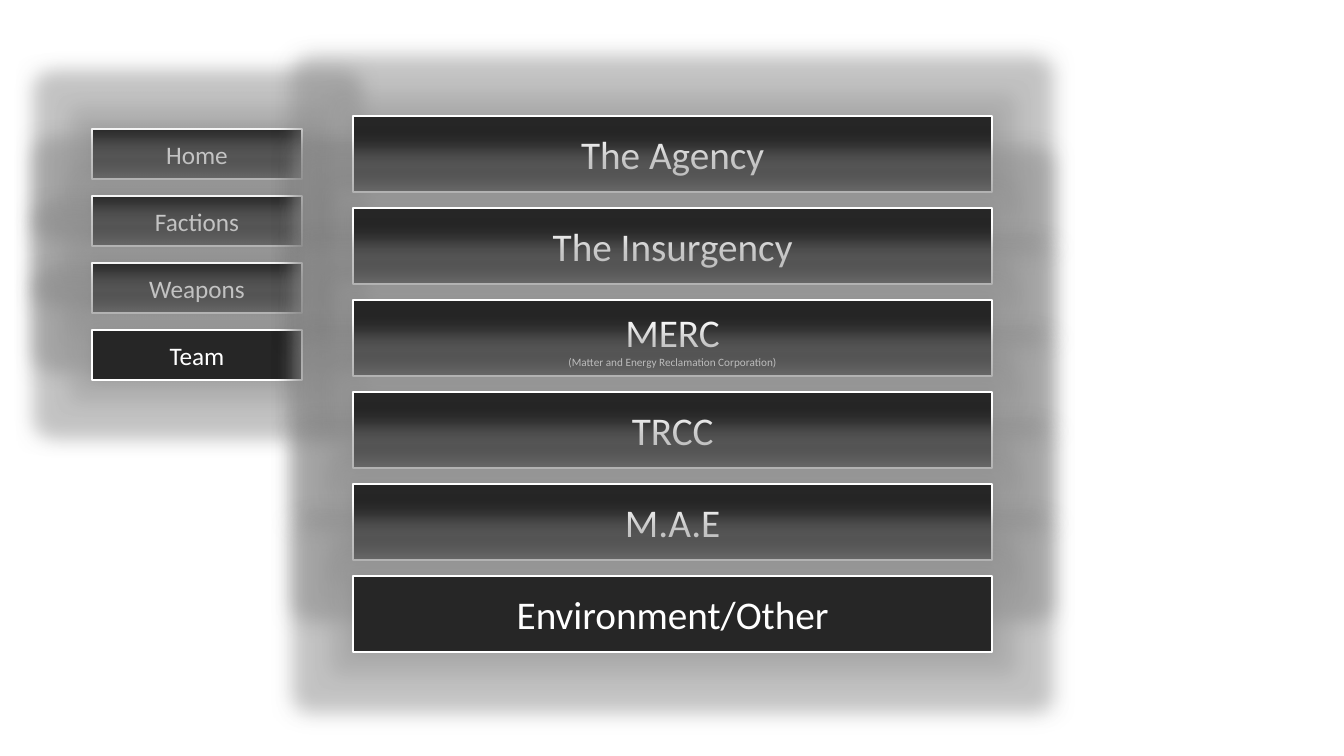
import pptx
import pptx.util
import pptx.dml.color
import pptx.enum.shapes
import pptx.enum.text
import pptx.oxml
import pptx.oxml.ns

MENUS = [
    {
        "left": 92, "top": 129, "width": 210, "height": 50, "step": 67, "size": 18,
        "labels": [("Home", ""), ("Factions", ""), ("Weapons", ""), ("Team", "")],
    },
    {
        "left": 353, "top": 116, "width": 639, "height": 76, "step": 92, "size": 28,
        "labels": [
            ("The Agency", ""),
            ("The Insurgency", ""),
            ("MERC", "(Matter and Energy Reclamation Corporation)"),
            ("TRCC", ""),
            ("M.A.E", ""),
            ("Environment/Other", ""),
        ],
    },
]
NOTE_SIZE = 8
FONT = "Calibri"
WHITE = "FFFFFF"
DARK = "262626"
GLOW = "A5A5A5"
SHADOW = "000000"
GLOW_RADIUS = 38
SHADOW_BLUR = 14


def px(length):
    return pptx.util.Emu(round(length * 914400 / 100.8))


def colour(code):
    return pptx.dml.color.RGBColor.from_string(code)


def add_span(para, text, size):
    span = para.add_run()
    span.text = text
    span.font.name = FONT
    span.font.size = pptx.util.Pt(size)
    span.font.color.rgb = colour(WHITE)


def add_glow(box):
    namespace = pptx.oxml.ns.nsdecls("a")
    effects = pptx.oxml.parse_xml(
        f'<a:effectLst {namespace}>'
        f'<a:glow rad="{px(GLOW_RADIUS)}"><a:srgbClr val="{GLOW}">'
        '<a:alpha val="40000"/></a:srgbClr></a:glow>'
        f'<a:outerShdw blurRad="{px(SHADOW_BLUR)}" algn="ctr" rotWithShape="0">'
        f'<a:srgbClr val="{SHADOW}"><a:alpha val="40000"/></a:srgbClr></a:outerShdw>'
        '</a:effectLst>'
    )
    box._element.spPr.append(effects)


def add_button(page, menu, row, label, note):
    box = page.shapes.add_shape(
        pptx.enum.shapes.MSO_SHAPE.RECTANGLE,
        px(menu["left"]), px(menu["top"] + row * menu["step"]),
        px(menu["width"]), px(menu["height"]),
    )
    box.fill.solid()
    box.fill.fore_color.rgb = colour(DARK)
    box.line.color.rgb = colour(WHITE)
    box.line.width = pptx.util.Pt(1.5)
    add_glow(box)
    frame = box.text_frame
    frame.word_wrap = True
    frame.vertical_anchor = pptx.enum.text.MSO_ANCHOR.MIDDLE
    para = frame.paragraphs[0]
    para.alignment = pptx.enum.text.PP_ALIGN.CENTER
    add_span(para, label, menu["size"])
    if note:
        para.add_line_break()
        add_span(para, note, NOTE_SIZE)


def main():
    deck = pptx.Presentation()
    deck.slide_width = pptx.util.Inches(13.33)
    deck.slide_height = pptx.util.Inches(7.5)
    page = deck.slides.add_slide(deck.slide_layouts[6])
    for menu in MENUS:
        for row, (label, note) in enumerate(menu["labels"]):
            add_button(page, menu, row, label, note)
    deck.save("out.pptx")


if __name__ == "__main__":
    main()
